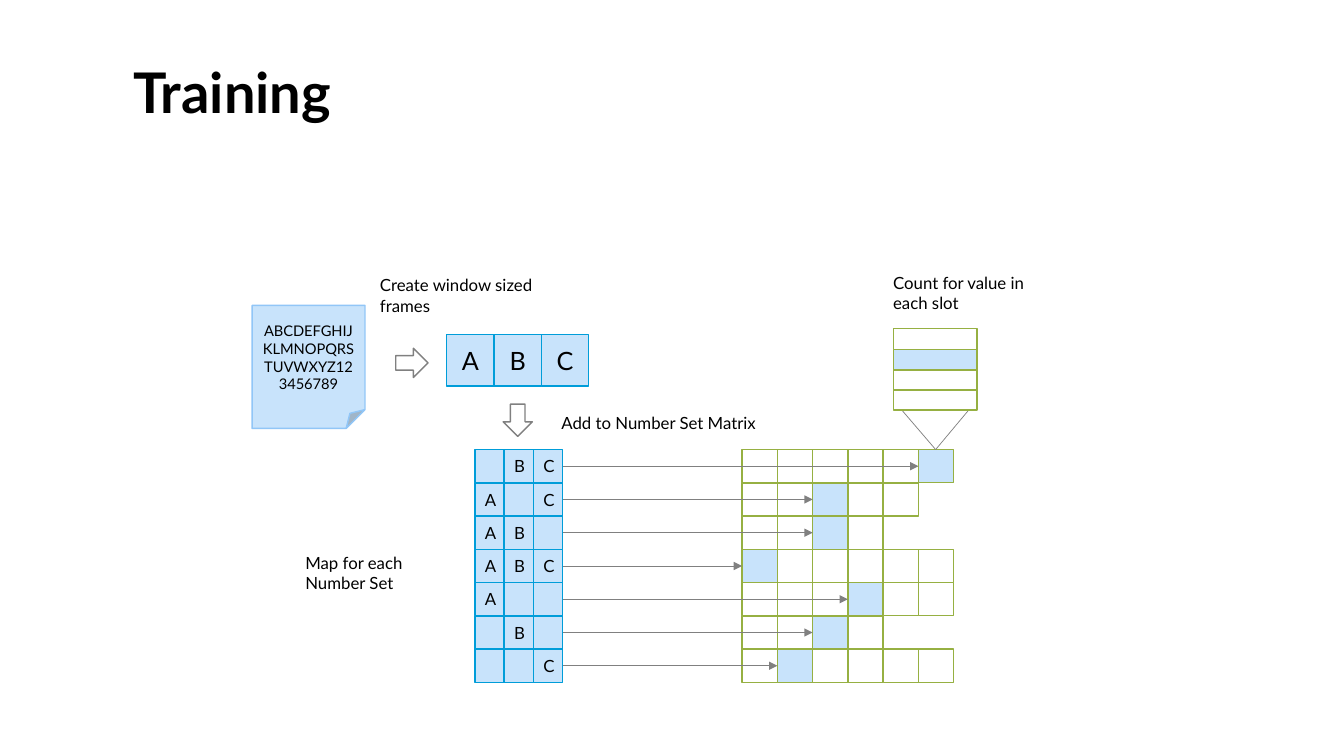
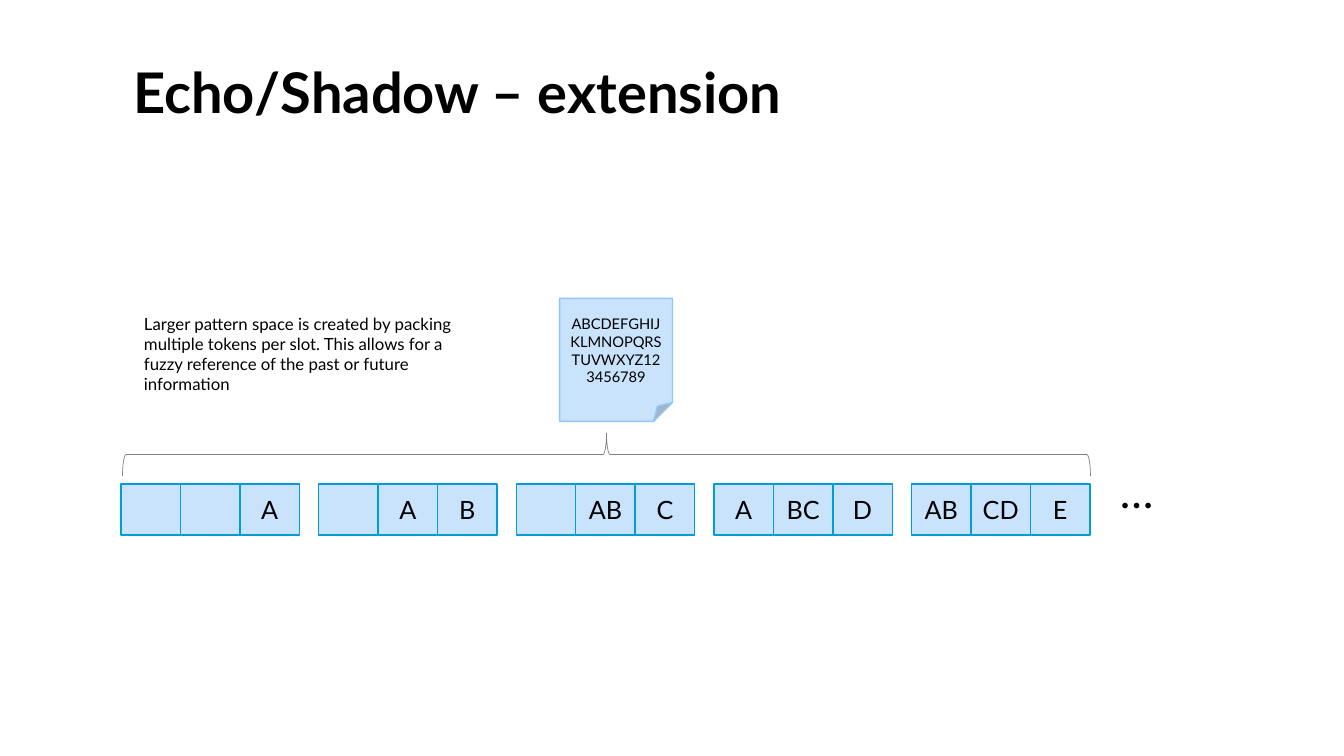
"""Build two slides on number set training and its echo extension."""
from lxml import etree
from pptx import Presentation
from pptx.dml.color import RGBColor
from pptx.enum.shapes import MSO_CONNECTOR, MSO_SHAPE
from pptx.enum.text import MSO_ANCHOR, MSO_AUTO_SIZE, PP_ALIGN
from pptx.oxml.ns import qn
from pptx.util import Inches, Pt

RECT, NOTE = MSO_SHAPE.RECTANGLE, MSO_SHAPE.FOLDED_CORNER
DOWN, BRACE = MSO_SHAPE.DOWN_ARROW, MSO_SHAPE.LEFT_BRACE
STRAIGHT = MSO_CONNECTOR.STRAIGHT
LEFT, CENTER = PP_ALIGN.LEFT, PP_ALIGN.CENTER
TOP, MIDDLE = MSO_ANCHOR.TOP, MSO_ANCHOR.MIDDLE
FONT = "Lato"
COLORS = {"text": "000000", "white": "FFFFFF", "light": "C8E3FB", "blue": "009DD9",
          "note": "91C6F7", "green": "96B042", "gray": "808080"}
RGB = {name: RGBColor.from_string(value) for name, value in COLORS.items()}
SOURCE_TEXT = "ABCDEFGHIJKLMNOPQRSTUVWXYZ123456789"


def write(tf, lines, size, align=LEFT, anchor=TOP, bold=False):
    tf.vertical_anchor = anchor
    for i, line in enumerate(lines):
        p = tf.add_paragraph() if i else tf.paragraphs[0]
        p.alignment = align
        r = p.add_run()
        r.text = line
        r.font.name, r.font.size, r.font.bold = FONT, Pt(size), bold
        r.font.color.rgb = RGB["text"]


def draw(s, kind, x, y, w, h, fill, line, text="", size=12, width=1, rotation=0):
    sp = s.shapes.add_shape(kind, Inches(x), Inches(y), Inches(w), Inches(h))
    sp.shadow.inherit = False
    sp.rotation = rotation
    if fill:
        sp.fill.solid()
        sp.fill.fore_color.rgb = RGB[fill]
    else:
        sp.fill.background()
    sp.line.color.rgb = RGB[line]
    sp.line.width = Pt(width)
    if text:
        write(sp.text_frame, [text], size, CENTER, MIDDLE)


prs = Presentation()
prs.slide_width, prs.slide_height = Inches(13.33), Inches(7.5)

slides = []
for title in ("Training", "Echo/Shadow – extension"):
    s = prs.slides.add_slide(prs.slide_layouts[5])
    sp = s.shapes.title
    sp.left, sp.top, sp.width, sp.height = Inches(1.22), Inches(0.6), Inches(11.12), Inches(1.29)
    tf = sp.text_frame
    tf.auto_size = MSO_AUTO_SIZE.NONE
    write(tf, [title], 40, bold=True)
    tf.paragraphs[0].line_spacing = 0.9
    slides.append(s)
training, echo = slides

for s, x, y in ((training, 2.5, 3.03), (echo, 5.55, 2.96)):
    draw(s, NOTE, x, y, 1.12, 1.22, "light", "note", SOURCE_TEXT, 10.5)

labels = [
    (training, 3.67, 2.68, 1.82, 0.5, ["Create window sized", "frames"], 12, False, TOP),
    (training, 5.47, 4.05, 2.24, 0.3, ["Add to Number Set Matrix"], 12, False, TOP),
    (training, 2.93, 5.43, 1.28, 0.5, ["Map for each", "Number Set"], 12, False, TOP),
    (training, 8.76, 2.66, 1.68, 0.5, ["Count for value in each slot"], 12, True, TOP),
    (echo, 1.33, 3.06, 3.27, 0.91,
     ["Larger pattern space is created by packing multiple tokens per slot. "
      "This allows for a fuzzy reference of the past or future information"], 12, True, TOP),
    (echo, 11.01, 4.55, 0.52, 0.64, ["…"], 32, False, MIDDLE),
]
for s, x, y, w, h, lines, size, wrap, anchor in labels:
    tf = s.shapes.add_textbox(Inches(x), Inches(y), Inches(w), Inches(h)).text_frame
    tf.word_wrap = wrap
    write(tf, lines, size, anchor=anchor)

for i, letter in enumerate("ABC"):
    draw(training, RECT, 4.43 + 0.47 * i, 3.32, 0.47, 0.51, "light", "blue", letter, 18)
for x, y, rotation in ((3.94, 3.44, 270), (4.99, 4.01, 0)):
    draw(training, DOWN, x, y, 0.29, 0.32, "white", "gray", rotation=rotation)

MAP_X, MATRIX_X, ROWS_Y = 4.71, 7.36, 4.46
MAP_W, CELL_W, ROW_H = 0.29, 0.35, 0.33
number_sets = [(" BC", 6, 5), ("A C", 5, 2), ("AB ", 4, 2), ("ABC", 6, 0),
               ("A  ", 6, 3), (" B ", 4, 2), ("  C", 6, 1)]
connectors = [(x, 3.97, 9.28, ROWS_Y, False) for x in (8.86, 9.69)]
for row, (letters, count, hit) in enumerate(number_sets):
    y = ROWS_Y + ROW_H * row
    for i, letter in enumerate(letters):
        draw(training, RECT, MAP_X + MAP_W * i, y, MAP_W, ROW_H, "light", "blue", letter.strip())
    for i in range(count):
        fill = "light" if i == hit else "white"
        draw(training, RECT, MATRIX_X + CELL_W * i, y, CELL_W, ROW_H, fill, "green")
    middle = y + ROW_H / 2
    connectors.append((MAP_X + MAP_W * 3, middle, MATRIX_X + CELL_W * hit, middle, True))

for x1, y1, x2, y2, arrow in connectors:
    c = training.shapes.add_connector(STRAIGHT, Inches(x1), Inches(y1), Inches(x2), Inches(y2))
    c.line.color.rgb = RGB["gray"]
    c.line.width = Pt(0.5)
    if arrow:
        etree.SubElement(c.line._get_or_add_ln(), qn("a:tailEnd"), type="triangle")
    etree.SubElement(c._element.spPr, qn("a:effectLst"))

for i in reversed(range(4)):
    draw(training, RECT, 8.86, 3.26 + 0.2 * i, 0.83, 0.21, "light" if i == 1 else "white", "green")

draw(echo, BRACE, 5.8, -0.29, 0.43, 9.6, None, "gray", width=0.5, rotation=90)
frames = [("", "", "A"), ("", "A", "B"), ("", "AB", "C"), ("A", "BC", "D"), ("AB", "CD", "E")]
for i, frame in enumerate(frames):
    for j, token in enumerate(frame):
        draw(echo, RECT, 1.2 + 1.96 * i + 0.59 * j, 4.8, 0.59, 0.51, "light", "blue", token, 18)

prs.save("out.pptx")
